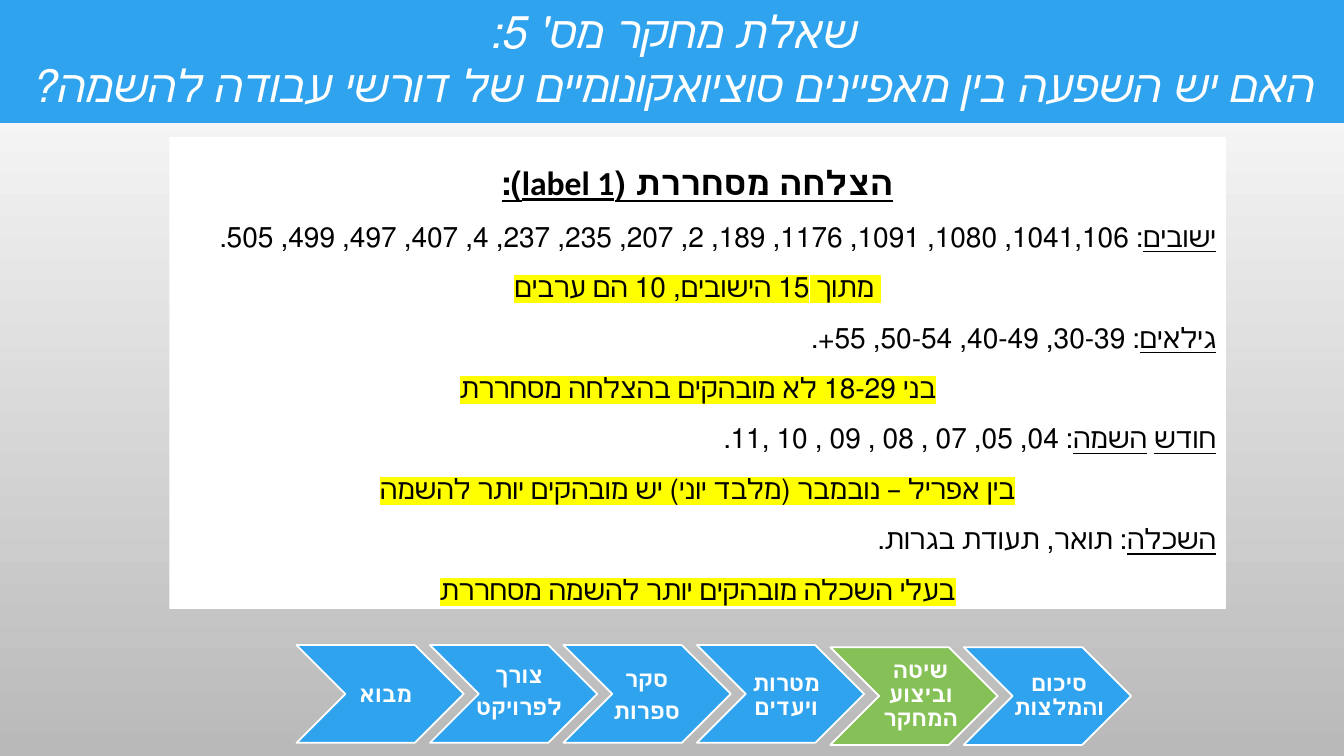
import pptx
import pptx.util
import pptx.dml.color
import pptx.enum.dml
import pptx.enum.lang
import pptx.enum.shapes
import pptx.enum.text
import pptx.oxml.ns
import lxml.etree
from dataclasses import dataclass

ALIGN = pptx.enum.text.PP_ALIGN
ANCHOR = pptx.enum.text.MSO_ANCHOR
SHAPE = pptx.enum.shapes.MSO_SHAPE


@dataclass(frozen=True)
class Theme:
    font: str = "Calibri"
    blue: str = "2FA3EE"
    green: str = "86C157"
    white: str = "FFFFFF"
    black: str = "000000"
    gray: str = "B9B9B9"
    yellow: str = "FFFF00"
    title: float = 32
    heading: float = 24
    body: float = 20
    step: float = 16
    last_step: float = 15.8
    outline: float = 1.25


def rgb(value):
    return pptx.dml.color.RGBColor.from_string(value)


def add_xml(parent, tag, **attributes):
    return lxml.etree.SubElement(parent, pptx.oxml.ns.qn(tag), attributes)


class SlideBuilder:
    def __init__(self, deck, theme):
        self.deck = deck
        self.theme = theme
        self.slide = deck.slides.add_slide(deck.slide_layouts[6])

    def box(self, left, top, width, height):
        across, down = self.deck.slide_width / 100, self.deck.slide_height / 100
        return [round(v) for v in (left * across, top * down, width * across, height * down)]

    def background(self, top, bottom):
        fill = self.slide.background.fill
        fill.gradient()
        fill.gradient_angle = 270
        for stop, color in zip(fill.gradient_stops, (top, bottom)):
            stop.color.rgb = rgb(color)

    def shape(self, kind, area, color, outline=None, parent=None):
        shape = (parent or self.slide).shapes.add_shape(kind, *self.box(*area))
        shape.shadow.inherit = False
        shape.fill.solid()
        shape.fill.fore_color.rgb = rgb(color)
        if outline:
            shape.line.color.rgb = rgb(outline)
            shape.line.width = pptx.util.Pt(self.theme.outline)
        else:
            shape.line.fill.background()
        shape.text_frame.word_wrap = True
        shape.text_frame.vertical_anchor = ANCHOR.TOP
        return shape

    def paragraph(self, frame, first, align=ALIGN.CENTER, spacing=None, after=None):
        paragraph = frame.paragraphs[0] if first else frame.add_paragraph()
        paragraph.alignment = align
        if spacing:
            paragraph.line_spacing = spacing
        properties = paragraph._p.get_or_add_pPr()
        properties.set("rtl", "1")
        if after:
            add_xml(add_xml(properties, "a:spcAft"), "a:spcPct", val=str(after * 1000))
        return paragraph

    def run(self, paragraph, text, size, color, bold=False, italic=False,
            underline=False, highlight=None):
        run = paragraph.add_run()
        run.text = text
        font = run.font
        font.size = pptx.util.Pt(size)
        font.bold, font.italic, font.underline = bold, italic, underline
        font.language_id = pptx.enum.lang.MSO_LANGUAGE_ID.HEBREW
        font.color.rgb = rgb(color)
        if highlight:
            mark = add_xml(run._r.get_or_add_rPr(), "a:highlight")
            add_xml(mark, "a:srgbClr", val=highlight)
        font.name = self.theme.font

    def banner(self, area, lines):
        frame = self.shape(SHAPE.RECTANGLE, area, self.theme.blue).text_frame
        for index, line in enumerate(lines):
            paragraph = self.paragraph(frame, index == 0)
            self.run(paragraph, line, self.theme.title, self.theme.white, italic=True)

    def findings(self, area, heading, entries):
        theme = self.theme
        frame = self.shape(SHAPE.RECTANGLE, area, theme.white).text_frame
        frame.auto_size = pptx.enum.text.MSO_AUTO_SIZE.SHAPE_TO_FIT_TEXT
        self.run(self.paragraph(frame, True, spacing=1.5), heading, theme.heading,
                 theme.black, bold=True, underline=True)
        for topic, values, conclusion in entries:
            detail = self.paragraph(frame, False, ALIGN.RIGHT, 1.5)
            for index, word in enumerate(topic.split()):
                if index:
                    self.run(detail, " ", theme.body, theme.black)
                self.run(detail, word, theme.body, theme.black, underline=True)
            self.run(detail, values, theme.body, theme.black)
            self.run(self.paragraph(frame, False, spacing=1.5), conclusion,
                     theme.body, theme.black, highlight=theme.yellow)

    def step(self, area, color, label_area, lines, size):
        group = self.slide.shapes.add_group_shape()
        self.shape(SHAPE.CHEVRON, area, color, self.theme.white, group)
        frame = group.shapes.add_textbox(*self.box(*label_area)).text_frame
        frame.word_wrap = True
        frame.vertical_anchor = ANCHOR.MIDDLE
        frame.margin_left = pptx.util.Inches(0.07)
        frame.margin_right = frame.margin_top = frame.margin_bottom = pptx.util.Inches(0.02)
        for index, line in enumerate(lines):
            paragraph = self.paragraph(frame, index == 0, spacing=0.9, after=35)
            self.run(paragraph, line, size, self.theme.white, bold=True)


def main():
    theme = Theme()
    deck = pptx.Presentation()
    deck.slide_width = pptx.util.Inches(13.33)
    deck.slide_height = pptx.util.Inches(7.5)
    page = SlideBuilder(deck, theme)
    page.background(theme.white, theme.gray)

    page.banner((0, -0.13, 100, 16.4), (
        "שאלת מחקר מס' 5:",
        "האם יש השפעה בין מאפיינים סוציואקונומיים של דורשי עבודה להשמה?",
    ))

    steps = (
        (("מבוא",), theme.blue, 85.33, 2.7, 85.47, theme.step),
        (("צורך", "לפרויקט"), theme.blue, 85.33, 2.7, 85.07, theme.step),
        (("סקר", "ספרות"), theme.blue, 85.33, 2.25, 85.6, theme.step),
        (("מטרות ויעדים",), theme.blue, 85.33, 2.7, 85.6, theme.step),
        (("שיטה וביצוע המחקר",), theme.green, 85.6, 2.78, 85.47, theme.step),
        (("סיכום והמלצות",), theme.blue, 85.6, 3.15, 85.6, theme.last_step),
    )
    first_left, pitch, step_height = 22.06, 9.93, 12.93
    for index, (lines, color, top, indent, label_top, size) in enumerate(steps):
        left = first_left + index * pitch
        page.step((left, top, 12.45, step_height), color,
                  (left + indent, label_top, 7.5, step_height), lines, size)

    page.findings((12.6, 18.13, 78.62, 62.4), "הצלחה מסחררת (label 1):", (
        ("ישובים",
         ": 1041,106, 1080, 1091, 1176, 189, 2, 207, 235, 237, 4, 407, 497, 499, 505.",
         " מתוך 15 הישובים, 10 הם ערבים"),
        ("גילאים", ": 30-39, 40-49, 50-54, 55+.",
         "בני 18-29 לא מובהקים בהצלחה מסחררת"),
        ("חודש השמה", ": 04, 05, 07 , 08 , 09 , 10 ,11.",
         "בין אפריל – נובמבר (מלבד יוני) יש מובהקים יותר להשמה"),
        ("השכלה", ": תואר, תעודת בגרות.",
         "בעלי השכלה מובהקים יותר להשמה מסחררת"),
    ))
    deck.save("out.pptx")


if __name__ == "__main__":
    main()
